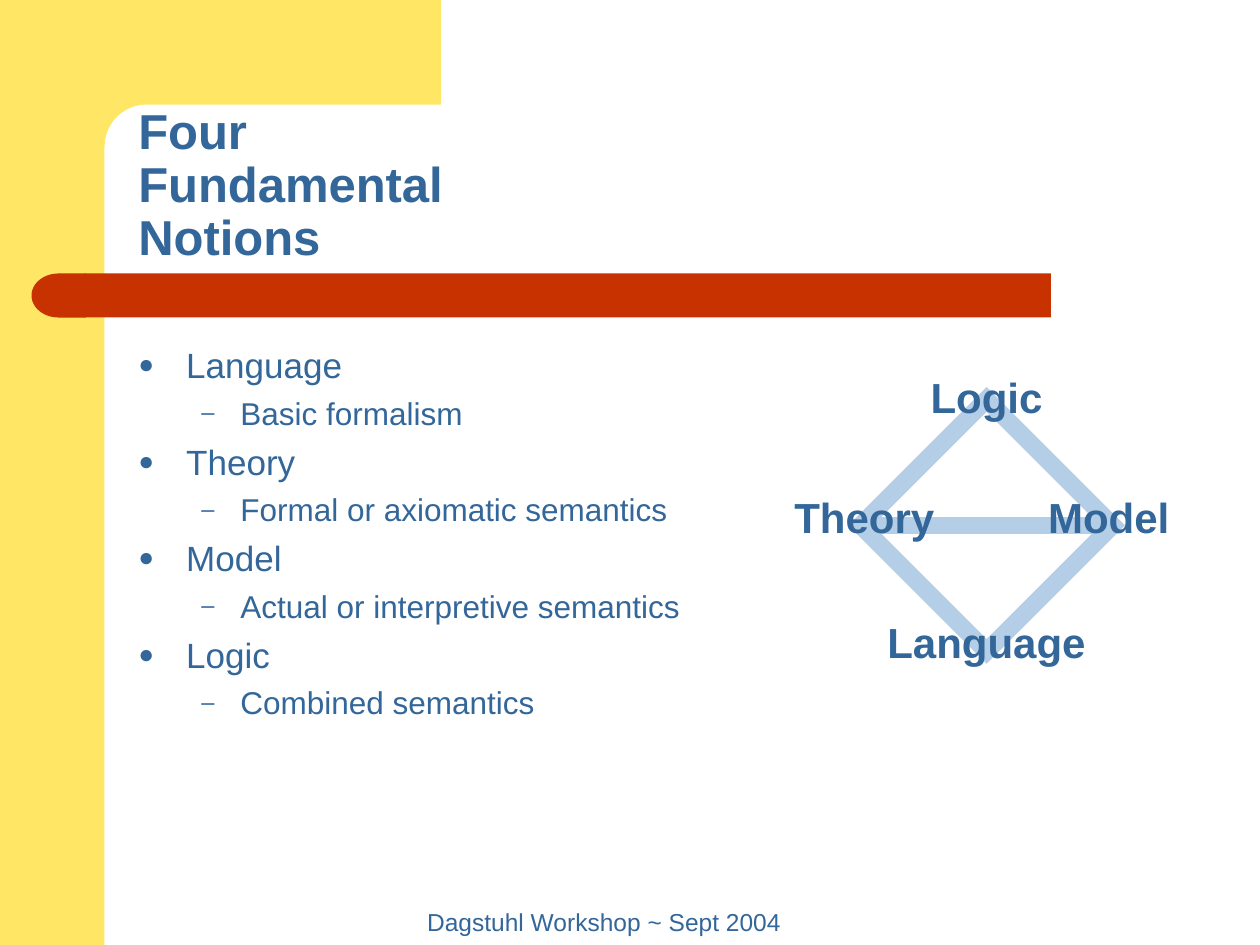
from lxml.etree import SubElement
from pptx import Presentation
from pptx.dml.color import RGBColor
from pptx.enum.shapes import MSO_CONNECTOR, MSO_SHAPE
from pptx.enum.text import MSO_ANCHOR, PP_ALIGN
from pptx.oxml.ns import qn
from pptx.util import Inches, Pt

BLUE, PALE, YELLOW, RED, WHITE = "336699", "B5CEE7", "FFE664", "C83200", "FFFFFF"
NOTIONS = [
    ("Language", "Basic formalism"),
    ("Theory", "Formal or axiomatic semantics"),
    ("Model", "Actual or interpretive semantics"),
    ("Logic", "Combined semantics"),
]
LEVELS = [
    {"char": "●", "size": 20, "left": 0.38, "indent": -0.38, "before": 5},
    {"char": "–", "size": 18, "left": 0.81, "indent": -0.31, "before": 4.5},
]


def rgb(value):
    return RGBColor.from_string(value)


def add_block(s, kind, box, color):
    sp = s.shapes.add_shape(kind, *map(Inches, box))
    sp.shadow.inherit = False
    sp.fill.solid()
    sp.fill.fore_color.rgb = rgb(color)
    sp.line.fill.background()
    return sp


def style(p, size, bold=False):
    for r in p.runs:
        r.font.name = "Arial"
        r.font.size = Pt(size)
        r.font.bold = bold
        r.font.color.rgb = rgb(BLUE)


def add_text(s, box, text, size, bold=False, align=PP_ALIGN.LEFT, anchor=MSO_ANCHOR.TOP):
    tf = s.shapes.add_textbox(*map(Inches, box)).text_frame
    tf.word_wrap = True
    tf.vertical_anchor = anchor
    p = tf.paragraphs[0]
    p.text = text
    p.alignment = align
    style(p, size, bold)
    return p


def add_bullet(p, char):
    pPr = p._p.get_or_add_pPr()
    color = SubElement(pPr, qn("a:buClr"))
    SubElement(color, qn("a:srgbClr"), val=BLUE)
    SubElement(pPr, qn("a:buSzPct"), val="75000")
    SubElement(pPr, qn("a:buFont"), typeface="Arial")
    SubElement(pPr, qn("a:buChar"), char=char)
    return pPr


def add_frame(s, box):
    left, top, width, height = box
    margin = 0.83
    add_block(s, MSO_SHAPE.RECTANGLE, (left, top, margin, height), YELLOW)
    add_block(s, MSO_SHAPE.RECTANGLE, (left + 0.75, top, 2.75, 1.17), YELLOW)
    corner = add_block(s, MSO_SHAPE.ROUNDED_RECTANGLE, (left + margin, top + margin, 5.58, 0.67), WHITE)
    corner.adjustments[0] = 0.5


def add_bar(s, box):
    left, top, width, height = box
    cap = 0.43
    add_block(s, MSO_SHAPE.RECTANGLE, (left + 0.42, top, width - 0.42, height), RED)
    end = add_block(s, MSO_SHAPE.FLOWCHART_DELAY, (left, top, cap, height), RED)
    end.rotation = 180


def add_title(s, box):
    p = add_text(s, box, "Four Fundamental Notions", 28, True, anchor=MSO_ANCHOR.BOTTOM)
    p.line_spacing = 0.9


def add_notions(s, box):
    tf = s.shapes.add_textbox(*map(Inches, box)).text_frame
    tf.word_wrap = True
    for i, pair in enumerate(NOTIONS):
        for level, text in enumerate(pair):
            look = LEVELS[level]
            first = i == 0 and level == 0
            p = tf.paragraphs[0] if first else tf.add_paragraph()
            p.text = text
            p.level = level
            pPr = add_bullet(p, look["char"])
            pPr.set("marL", str(Inches(look["left"])))
            pPr.set("indent", str(Inches(look["indent"])))
            if not first:
                p.space_before = Pt(look["before"])
            style(p, look["size"])


def add_diamond(s, box):
    left, top, width, height = box
    middle = top + height / 2
    diamond = s.shapes.add_shape(MSO_SHAPE.DIAMOND, *map(Inches, box))
    diamond.shadow.inherit = False
    diamond.fill.background()
    link = s.shapes.add_connector(
        MSO_CONNECTOR.STRAIGHT, *map(Inches, (left, middle, left + width, middle)))
    SubElement(link._element.spPr, qn("a:effectLst"))
    for sp in (diamond, link):
        sp.line.color.rgb = rgb(PALE)
        sp.line.width = Pt(10)
    SubElement(diamond.line._get_or_add_ln(), qn("a:miter"), lim="800000")

    labels = [
        ("Language", 0, 1.67, 2),
        ("Logic", 0.3, -0.27, 1.4),
        ("Model", 1.27, 0.68, 1.4),
        ("Theory", -0.72, 0.68, 1.5),
    ]
    for text, dx, dy, label_width in labels:
        add_text(s, (left + dx, top + dy, label_width, 0.65), text, 24, True, PP_ALIGN.CENTER)


def add_footer(s, box):
    add_text(s, box, "Dagstuhl Workshop ~ Sept 2004", 14,
             align=PP_ALIGN.CENTER, anchor=MSO_ANCHOR.BOTTOM)


def main():
    prs = Presentation()
    prs.slide_width, prs.slide_height = Inches(10), Inches(7.5)
    s = prs.slides.add_slide(prs.slide_layouts[6])
    add_frame(s, (0, 0, 10, 7.5))
    add_bar(s, (0.25, 2.17, 8.09, 0.35))
    add_title(s, (1, 0.91, 3.44, 1.25))
    add_notions(s, (1, 2.68, 4.8, 3.8))
    add_diamond(s, (6.83, 3.17, 2, 2))
    add_footer(s, (3.21, 7.14, 3.17, 0.34))
    prs.save("out.pptx")


if __name__ == "__main__":
    main()
